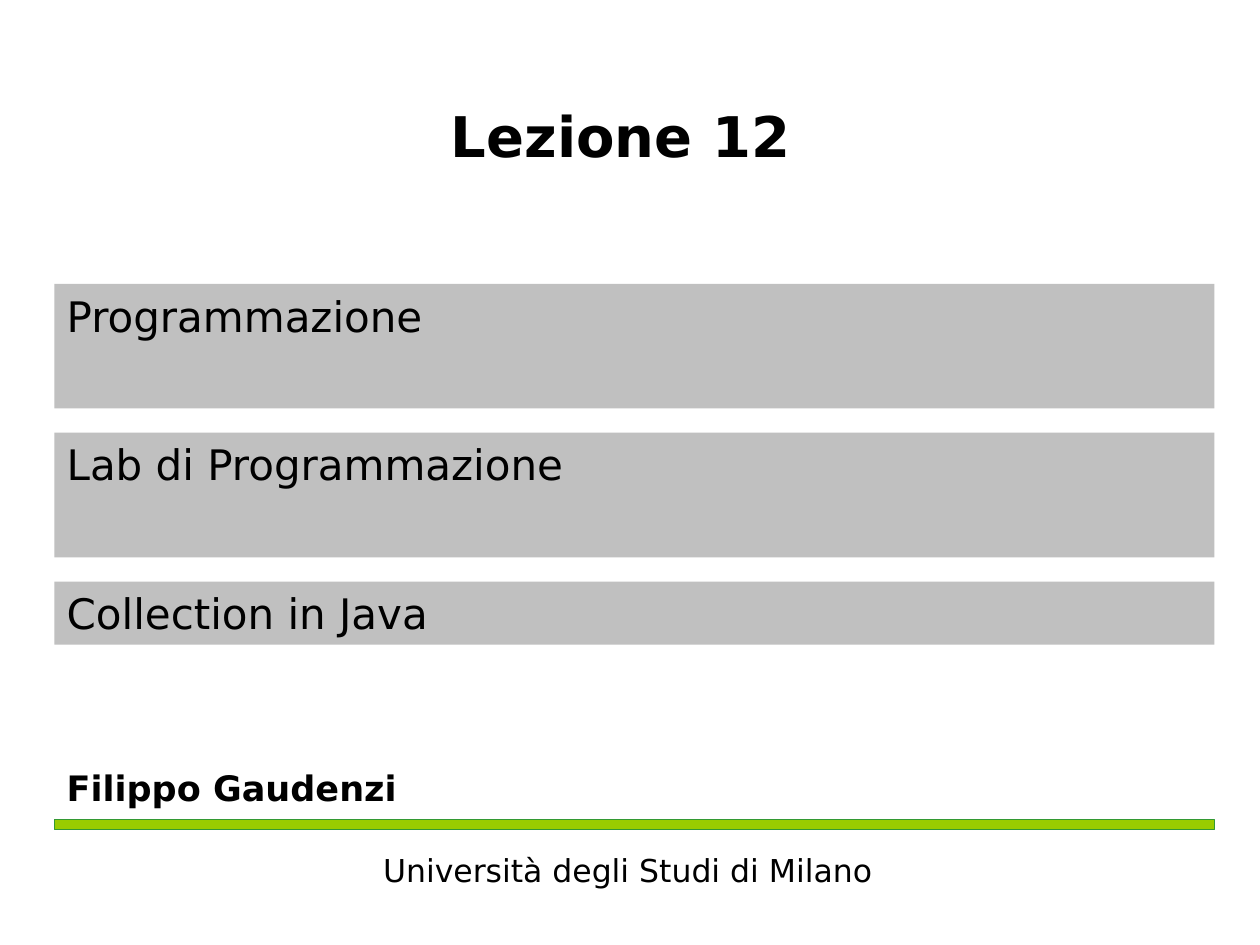
import pptx
import pptx.dml.color
import pptx.enum.shapes
import pptx.enum.text
import pptx.util

Pt = pptx.util.Pt
ALIGN = pptx.enum.text.PP_ALIGN
ANCHOR = pptx.enum.text.MSO_ANCHOR
COLORS = {"text": "000000", "panel": "C0C0C0", "bar": "99CC00", "edge": "339933"}
LEFT, WIDTH = 31, 663


def color(name):
    return pptx.dml.color.RGBColor.from_string(COLORS[name])


class SlideBuilder:
    font_name = "DejaVu Sans"

    def __init__(self, slide):
        self.slide = slide

    def fill_text(self, shape, text, size, bold=False, align=ALIGN.LEFT, anchor=ANCHOR.TOP, wrap=True):
        frame = shape.text_frame
        for name, value in {"word_wrap": wrap, "vertical_anchor": anchor}.items():
            setattr(frame, name, value)
        paragraph = frame.paragraphs[0]
        paragraph.alignment = align
        run = paragraph.add_run()
        run.text = text
        for name, value in {"name": self.font_name, "size": Pt(size), "bold": bold}.items():
            setattr(run.font, name, value)
        run.font.color.rgb = color("text")

    def text(self, box, text, size, **format_values):
        shape = self.slide.shapes.add_textbox(*map(Pt, box))
        self.fill_text(shape, text, size, **format_values)

    def rectangle(self, box, fill, line=None):
        kind = pptx.enum.shapes.MSO_SHAPE.RECTANGLE
        shape = self.slide.shapes.add_shape(kind, *map(Pt, box))
        shape.shadow.inherit = False
        shape.fill.solid()
        shape.fill.fore_color.rgb = color(fill)
        if line:
            shape.line.color.rgb = color(line)
            shape.line.width = Pt(0.75)
        else:
            shape.line.fill.background()
        return shape

    def panel(self, box, text):
        self.fill_text(self.rectangle(box, "panel"), text, 24)


def main():
    presentation = pptx.Presentation()
    presentation.slide_width, presentation.slide_height = Pt(720), Pt(540)
    builder = SlideBuilder(presentation.slides.add_slide(presentation.slide_layouts[6]))

    builder.text((28, 55.5, 664.5, 44), "Lezione 12 ", 32, bold=True,
                 align=ALIGN.CENTER, anchor=ANCHOR.MIDDLE)
    top, gap = 162.2, 13.9
    panels = [("Programmazione", 71.2), ("Lab di Programmazione", 71.2), ("Collection in Java", 36)]
    for text, height in panels:
        builder.panel((LEFT, top, WIDTH, height), text)
        top += height + gap
    builder.text((LEFT, 434.2, WIDTH, 31), "Filippo Gaudenzi", 20, bold=True)
    builder.text((210, 483, 297.5, 29), "Università degli Studi di Milano", 18,
                 align=ALIGN.CENTER, wrap=False)
    builder.rectangle((LEFT, 468.5, WIDTH, 5.5), "bar", "edge")
    presentation.save("out.pptx")


if __name__ == "__main__":
    main()
